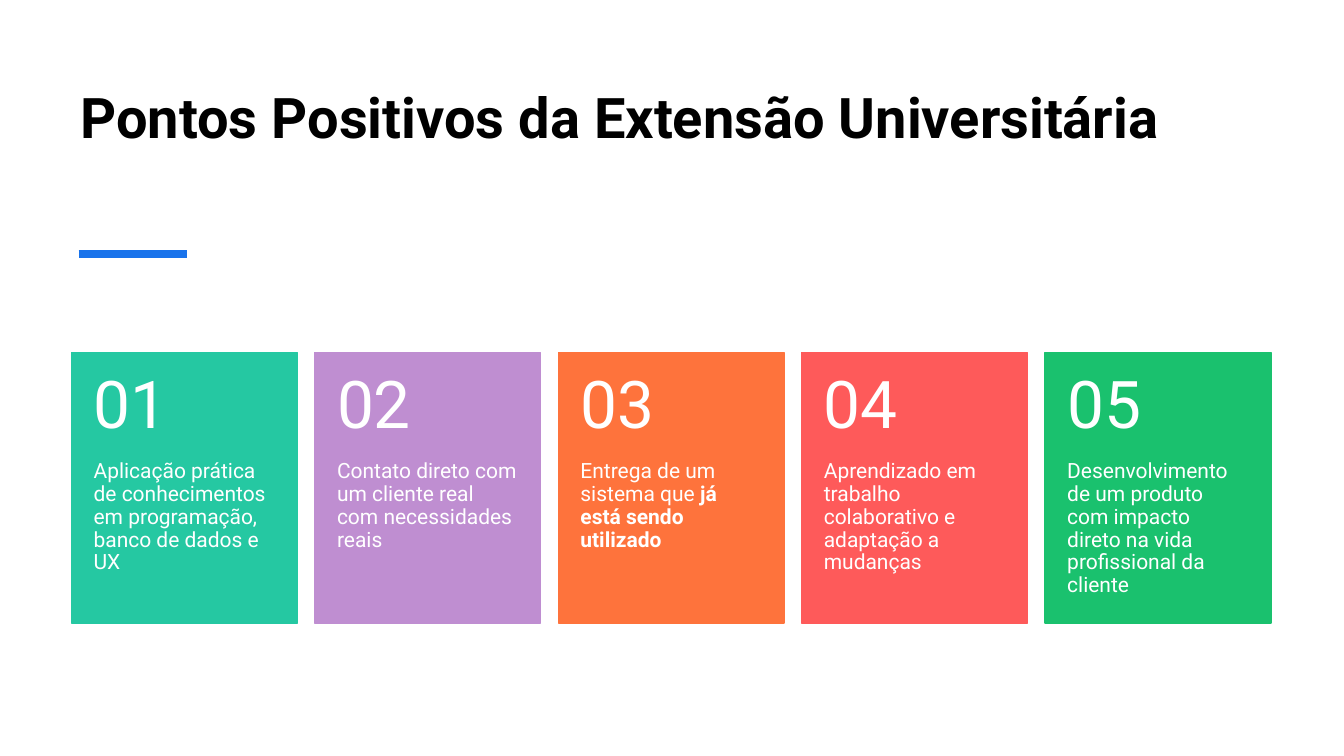
from dataclasses import dataclass

from lxml import etree
from pptx import Presentation
from pptx.dml.color import RGBColor
from pptx.enum.shapes import MSO_CONNECTOR, MSO_SHAPE
from pptx.enum.text import MSO_ANCHOR
from pptx.oxml.ns import qn
from pptx.util import Cm, Pt

RECT = MSO_SHAPE.RECTANGLE
STRAIGHT = MSO_CONNECTOR.STRAIGHT
TOP, MIDDLE, BOTTOM = MSO_ANCHOR.TOP, MSO_ANCHOR.MIDDLE, MSO_ANCHOR.BOTTOM


@dataclass(frozen=True)
class Theme:
    font: str = "Roboto"
    title: str = "000000"
    accent: str = "1973EB"
    card_text: str = "FFFFFF"
    cards: tuple = ("25C8A2", "BF8ED1", "FE733C", "FE5A5A", "1AC16E")
    title_size: int = 40
    number_size: int = 47
    body_size: int = 15


THEME = Theme()

# Each point is a plain part followed by a bold part
POINTS = [
    ("Aplicação prática de conhecimentos em programação, banco de dados e UX", ""),
    ("Contato direto com um cliente real com necessidades reais", ""),
    ("Entrega de um sistema que ", "já está sendo utilizado"),
    ("Aprendizado em trabalho colaborativo e adaptação a mudanças", ""),
    ("Desenvolvimento de um produto com impacto direto na vida profissional da cliente", ""),
]


def add_text(shapes, box, text, size, color, anchor, insets, bold=False, bold_tail="", spacing=None):
    """Place one paragraph in box; insets are left, top, right, bottom in cm."""
    tf = shapes.add_textbox(*map(Cm, box)).text_frame
    tf.word_wrap = True
    tf.vertical_anchor = anchor
    tf.margin_left, tf.margin_top, tf.margin_right, tf.margin_bottom = map(Cm, insets)
    p = tf.paragraphs[0]
    p.text = text
    if spacing:
        p.line_spacing = spacing
    if bold_tail:
        p.add_run().text = bold_tail
    for i, r in enumerate(p.runs):
        r.font.name = THEME.font
        r.font.size = Pt(size)
        r.font.bold = bold or i > 0
        r.font.color.rgb = RGBColor.from_string(color)


def add_heading(s, box, text):
    """Title with a short accent rule below it."""
    x, y, w, h = box
    add_text(s.shapes, box, text, THEME.title_size, THEME.title, BOTTOM,
             (0.25, 0.13, 0.25, 1.77), bold=True)
    rule_x, rule_y = x + 0.2, y + h + 0.97
    rule = s.shapes.add_connector(STRAIGHT, Cm(rule_x), Cm(rule_y), Cm(rule_x + 2.72), Cm(rule_y))
    rule.line.color.rgb = RGBColor.from_string(THEME.accent)
    rule.line.width = Pt(6)
    etree.SubElement(rule._element.spPr, qn("a:effectLst"))


def add_card(s, box, number, point, color):
    """Coloured card: number in the top 40 %, text below."""
    x, y, w, h = box
    shapes = s.shapes.add_group_shape().shapes
    sp = shapes.add_shape(RECT, *map(Cm, box))
    sp.shadow.inherit = False
    sp.fill.solid()
    sp.fill.fore_color.rgb = sp.line.color.rgb = RGBColor.from_string(color)
    sp.line.width = Pt(1)

    head = 0.4 * h
    text, bold_tail = point
    add_text(shapes, (x, y + head, w, h - head), text, THEME.body_size, THEME.card_text,
             TOP, (0.56, 0, 0.56, 0.91), bold_tail=bold_tail, spacing=0.9)
    add_text(shapes, (x, y, w, head), f"{number:02d}", THEME.number_size, THEME.card_text,
             MIDDLE, (0.56, 0.46, 0.56, 0.46), spacing=0.9)


def add_cards(s, box, points, gap=0.44):
    """Row of equal cards filling the box."""
    x, y, w, h = box
    card_w = (w - gap * (len(points) - 1)) / len(points)
    for i, (point, color) in enumerate(zip(points, THEME.cards)):
        add_card(s, (x + i * (card_w + gap), y, card_w, h), i + 1, point, color)


def main():
    prs = Presentation()
    prs.slide_width, prs.slide_height = Cm(33.87), Cm(19.05)
    s = prs.slides.add_slide(prs.slide_layouts[6])
    add_heading(s, (1.78, 1.57, 30.25, 3.86), "Pontos Positivos da Extensão Universitária")
    add_cards(s, (1.8, 8.89, 30.23, 6.81), POINTS)
    prs.save("out.pptx")


if __name__ == "__main__":
    main()
